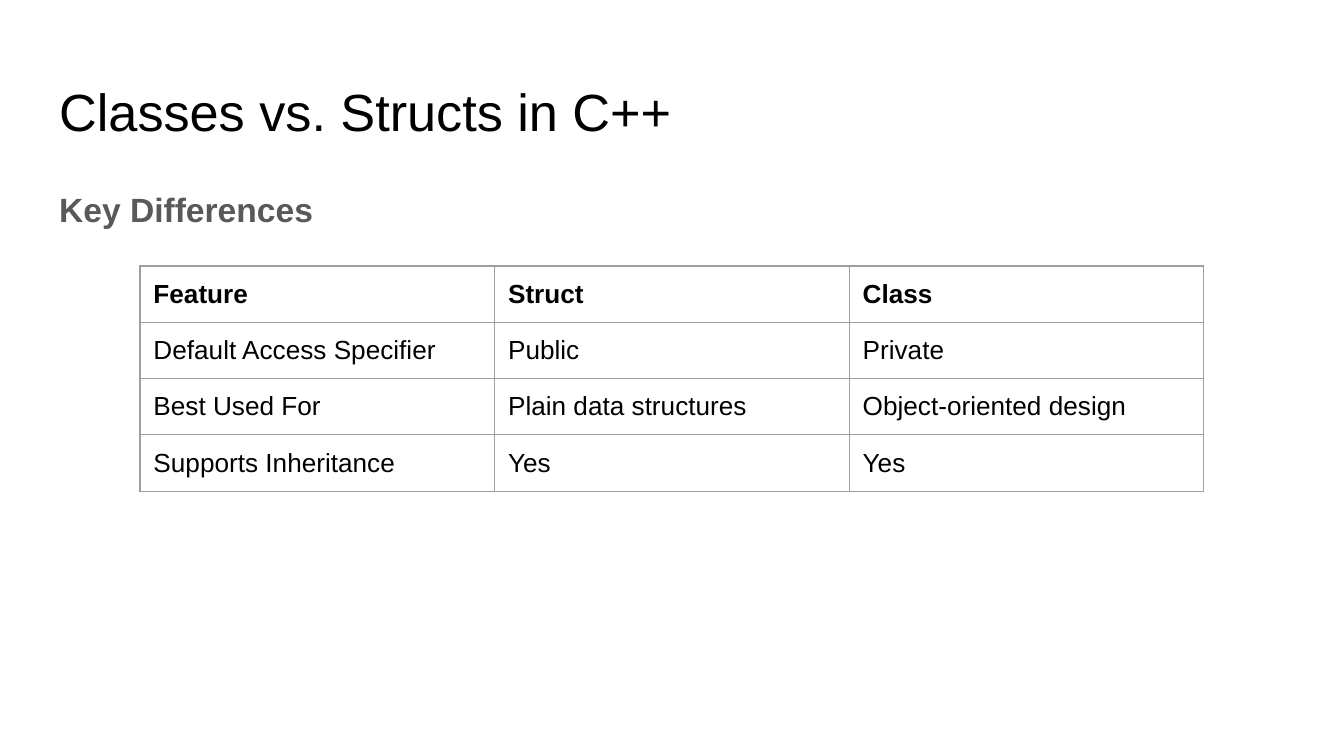
from lxml.etree import SubElement
from pptx import Presentation
from pptx.dml.color import RGBColor
from pptx.enum.text import MSO_ANCHOR, MSO_AUTO_SIZE, PP_ALIGN
from pptx.oxml.ns import qn
from pptx.util import Pt

COLORS = {"background": "FFFFFF", "text": "000000", "subtitle": "595959", "border": "9E9E9E"}
FONT = "Arial"
INSET = Pt(7.2)
COLUMN_WIDTH = 190
ROW_HEIGHT = 30
COMPARISON = [
    ("Feature", "Struct", "Class"),
    ("Default Access Specifier", "Public", "Private"),
    ("Best Used For", "Plain data structures", "Object-oriented design"),
    ("Supports Inheritance", "Yes", "Yes"),
]


def add_run(paragraph, text, size, color, bold=False):
    """Add one formatted run to a paragraph."""
    run = paragraph.add_run()
    run.text = text
    run.font.name = FONT
    run.font.size = Pt(size)
    run.font.bold = bold
    run.font.color.rgb = RGBColor.from_string(COLORS[color])


def set_margins(target):
    """Give a text frame or a table cell equal insets."""
    target.margin_left = target.margin_right = INSET
    target.margin_top = target.margin_bottom = INSET


def fill_placeholder(shape, top, height, text, size, color, bold=False):
    """Move a placeholder and write its single left-aligned line."""
    shape.left, shape.top, shape.width, shape.height = Pt(24.5), Pt(top), Pt(671), Pt(height)
    frame = shape.text_frame
    frame.word_wrap = True
    frame.auto_size = MSO_AUTO_SIZE.NONE
    frame.vertical_anchor = MSO_ANCHOR.TOP
    set_margins(frame)
    paragraph = frame.paragraphs[0]
    paragraph.alignment = PP_ALIGN.LEFT
    paragraph.space_before = Pt(0)
    add_run(paragraph, text, size, color, bold)
    return paragraph


def remove_bullet(paragraph):
    """Switch off the bullet and its hanging indent."""
    properties = paragraph._p.get_or_add_pPr()
    properties.set("marL", "0")
    properties.set("indent", "0")
    SubElement(properties, qn("a:buNone"))


def add_borders(cell):
    """Draw a thin line on all four sides of a cell."""
    properties = cell._tc.get_or_add_tcPr()
    for position, side in enumerate(("a:lnL", "a:lnR", "a:lnT", "a:lnB")):
        line = properties.makeelement(qn(side), {"w": str(Pt(0.75))})
        fill = SubElement(line, qn("a:solidFill"))
        SubElement(fill, qn("a:srgbClr"), val=COLORS["border"])
        properties.insert(position, line)


def add_comparison_table(slide, left, top, rows):
    """Add a plain bordered table with a bold header row."""
    column_count = len(rows[0])
    table = slide.shapes.add_table(
        len(rows), column_count, Pt(left), Pt(top),
        Pt(COLUMN_WIDTH * column_count), Pt(ROW_HEIGHT * len(rows)),
    ).table
    table.horz_banding = False
    table.first_row = False
    for row_index, row in enumerate(rows):
        for column_index, text in enumerate(row):
            cell = table.cell(row_index, column_index)
            cell.fill.background()
            set_margins(cell)
            add_borders(cell)
            add_run(cell.text_frame.paragraphs[0], text, 14, "text", row_index == 0)


def main():
    """Build the slide and save it."""
    presentation = Presentation()
    presentation.slide_width, presentation.slide_height = Pt(720), Pt(405)
    slide = presentation.slides.add_slide(presentation.slide_layouts[1])
    slide.background.fill.solid()
    slide.background.fill.fore_color.rgb = RGBColor.from_string(COLORS["background"])
    fill_placeholder(slide.shapes.title, 35, 45, "Classes vs. Structs in C++", 28, "text")
    heading = fill_placeholder(
        slide.placeholders[1], 90.75, 314, "Key Differences", 18, "subtitle", True
    )
    heading.line_spacing = 1.15
    remove_bullet(heading)
    add_comparison_table(slide, 75, 142.5, COMPARISON)
    presentation.save("out.pptx")


if __name__ == "__main__":
    main()
